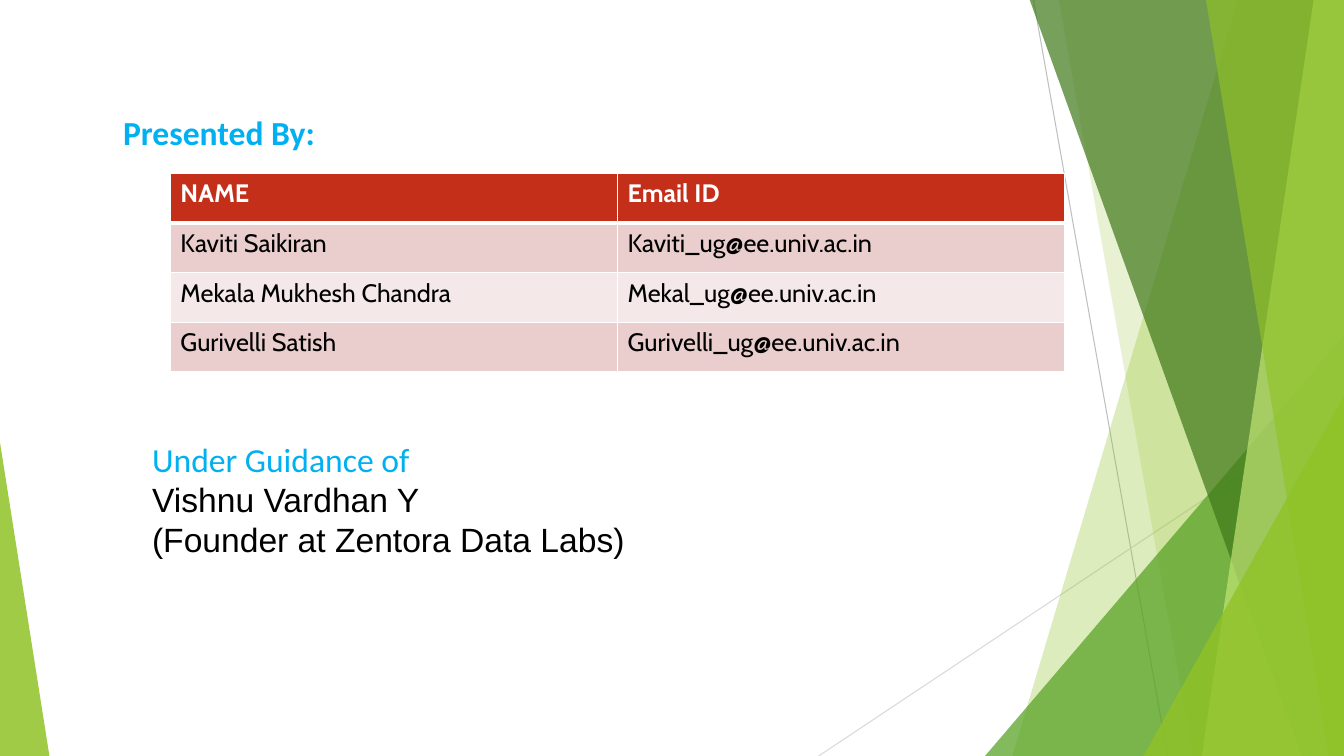
from pptx import Presentation
from pptx.util import Inches, Pt
from pptx.dml.color import RGBColor
from pptx.enum.shapes import MSO_CONNECTOR, MSO_SHAPE
from pptx.enum.text import MSO_ANCHOR, MSO_AUTO_SIZE, PP_ALIGN
from pptx.oxml import parse_xml
from pptx.oxml.ns import nsdecls
from pptx.oxml.xmlchemy import OxmlElement as Element

LIME = RGBColor(0x90, 0xC2, 0x26)
GREEN = RGBColor(0x54, 0xA0, 0x21)
FOREST = RGBColor(0x3F, 0x78, 0x19)
PALE = RGBColor(0xC0, 0xE4, 0x74)
GREY = RGBColor(0xBF, 0xBF, 0xBF)
SILVER = RGBColor(0xD9, 0xD9, 0xD9)
SKY = RGBColor(0x00, 0xB0, 0xF0)
BLACK = RGBColor(0, 0, 0)
WHITE = RGBColor(0xFF, 0xFF, 0xFF)
RED = RGBColor(0xC4, 0x2F, 0x1A)
ROSE = RGBColor(0xEA, 0xCD, 0xCD)
BLUSH = RGBColor(0xF5, 0xE8, 0xE8)

WIDTH, HEIGHT, TOP = 13.33, 7.5, -0.01

TITLE = "Presented By:"
PEOPLE = [
    ("NAME", "Email ID"),
    ("Kaviti Saikiran", "Kaviti_ug@ee.univ.ac.in"),
    ("Mekala Mukhesh Chandra", "Mekal_ug@ee.univ.ac.in"),
    ("Gurivelli Satish", "Gurivelli_ug@ee.univ.ac.in"),
]
GUIDE = [
    ("Under Guidance of", "Calibri", SKY),
    ("Vishnu Vardhan Y", "Arial", BLACK),
    ("(Founder at Zentora Data Labs)", "Arial", BLACK),
]
RULES = [
    ((10.25, 0), (11.58, HEIGHT), GREY),
    ((WIDTH, 4.03), (8.12, HEIGHT), SILVER),
]
# Bands reach the right edge: top-left x, bottom-left x, colour, opacity.
# Wedges stand on the bottom edge: left, top, width, apex, colour, opacity.
FACETS = [
    ("band", 12.28, 10.04, LIME, 30),
    ("band", 10.5, 11.83, LIME, 20),
    ("wedge", 9.77, 3.33, 3.56, 1, GREEN, 72),
    ("band", 10.21, 12.91, FOREST, 70),
    ("band", 13.03, 11.92, PALE, 70),
    ("band", 11.96, 13.18, LIME, 65),
    ("wedge", 11.34, 3.93, 1.99, 1, LIME, 80),
    ("wedge", 0, 4.39, 0.49, 0, LIME, 85),
]


def tint(shape, color, alpha):
    """Fill a shape with a partly transparent colour and no outline."""
    shape.shadow.inherit = False
    shape.line.fill.background()
    shape.fill.solid()
    shape.fill.fore_color.rgb = color
    node = Element("a:alpha")
    node.set("val", str(alpha * 1000))
    shape.fill._xPr.solidFill[0].append(node)


def add_band(slide, top, base, color, alpha):
    points = [(top, TOP), (WIDTH, TOP), (WIDTH, HEIGHT), (base, HEIGHT)]
    points = [(Inches(x), Inches(y)) for x, y in points]
    pen = slide.shapes.build_freeform(*points[0])
    pen.add_line_segments(points[1:], close=True)
    tint(pen.convert_to_shape(), color, alpha)


def add_wedge(slide, left, top, width, apex, color, alpha):
    box = [Inches(v) for v in (left, top, width, HEIGHT - top)]
    shape = slide.shapes.add_shape(MSO_SHAPE.ISOSCELES_TRIANGLE, *box)
    shape.adjustments[0] = apex
    tint(shape, color, alpha)


def add_rule(slide, start, end, color):
    ends = [Inches(v) for v in start + end]
    line = slide.shapes.add_connector(MSO_CONNECTOR.STRAIGHT, *ends)
    line.line.color.rgb = color
    line.line.width = Pt(0.75)
    line._element.spPr.append(Element("a:effectLst"))


def write(para, text, size, face, color, bold=False):
    para.alignment = PP_ALIGN.LEFT
    run = para.add_run()
    run.text = text
    font = run.font
    font.size, font.name, font.bold = Pt(size), face, bold
    font.color.rgb = color


def add_title(slide):
    title = slide.shapes.title
    title.left, title.top = Inches(1.12), Inches(1.06)
    title.width, title.height = Inches(7.09), Inches(0.5)
    frame = title.text_frame
    frame.word_wrap = True
    frame.auto_size = MSO_AUTO_SIZE.NONE
    frame.vertical_anchor = MSO_ANCHOR.TOP
    write(frame.paragraphs[0], TITLE, 24, "Calibri", SKY, True)


def add_guide(slide):
    box = slide.shapes.add_textbox(
        Inches(1.41), Inches(4.3), Inches(5.01), Inches(1.31))
    frame = box.text_frame
    frame.word_wrap = False
    for i, (text, face, color) in enumerate(GUIDE):
        para = frame.add_paragraph() if i else frame.paragraphs[0]
        write(para, text, 24, face, color)


def edge(cell, base):
    """Give a cell white borders, the bottom one of its own width."""
    for side, width in (("L", 1), ("R", 1), ("T", 1), ("B", base)):
        cell._tc.get_or_add_tcPr().append(parse_xml(
            f'<a:ln{side} {nsdecls("a")} w="{Pt(width)}"><a:solidFill>'
            f'<a:srgbClr val="{WHITE}"/></a:solidFill></a:ln{side}>'))


def add_people(slide):
    rows, cols = len(PEOPLE), len(PEOPLE[0])
    table = slide.shapes.add_table(
        rows, cols, Inches(1.69), Inches(1.72),
        Inches(8.87), Inches(1.97)).table
    for r, row in enumerate(PEOPLE):
        head = r == 0
        fill = RED if head else ROSE if r % 2 else BLUSH
        for c, text in enumerate(row):
            cell = table.cell(r, c)
            edge(cell, 3 if head else 1)
            cell.fill.solid()
            cell.fill.fore_color.rgb = fill
            write(cell.text_frame.paragraphs[0], text, 18, "Cabin",
                  WHITE if head else BLACK, head)


def main():
    deck = Presentation()
    deck.slide_width, deck.slide_height = Inches(WIDTH), Inches(HEIGHT)
    slide = deck.slides.add_slide(deck.slide_layouts[5])
    for rule in RULES:
        add_rule(slide, *rule)
    for kind, *spec in FACETS:
        draw = add_band if kind == "band" else add_wedge
        draw(slide, *spec)
    add_title(slide)
    add_guide(slide)
    add_people(slide)
    deck.save("out.pptx")


if __name__ == "__main__":
    main()
